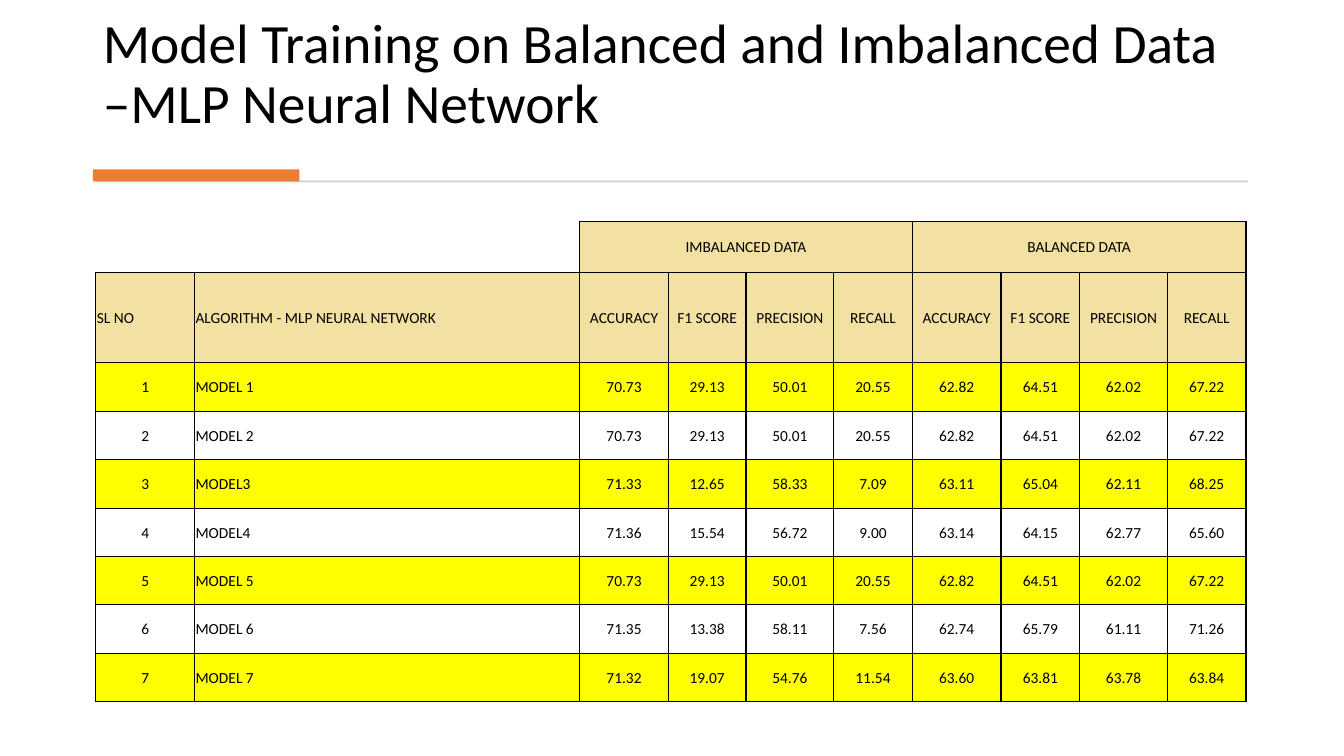
from lxml.etree import SubElement
from pptx import Presentation
from pptx.dml.color import RGBColor
from pptx.enum.shapes import MSO_SHAPE
from pptx.enum.text import MSO_ANCHOR, MSO_AUTO_SIZE, PP_ALIGN
from pptx.oxml.ns import qn
from pptx.util import Inches, Pt

HEADS = ["ACCURACY", "F1 SCORE", "PRECISION", "RECALL"]
MODELS = [
    ("MODEL 1", "70.73 29.13 50.01 20.55 62.82 64.51 62.02 67.22"),
    ("MODEL 2", "70.73 29.13 50.01 20.55 62.82 64.51 62.02 67.22"),
    ("MODEL3", "71.33 12.65 58.33 7.09 63.11 65.04 62.11 68.25"),
    ("MODEL4", "71.36 15.54 56.72 9.00 63.14 64.15 62.77 65.60"),
    ("MODEL 5", "70.73 29.13 50.01 20.55 62.82 64.51 62.02 67.22"),
    ("MODEL 6", "71.35 13.38 58.11 7.56 62.74 65.79 61.11 71.26"),
    ("MODEL 7", "71.32 19.07 54.76 11.54 63.60 63.81 63.78 63.84"),
]
COLS = [0.98, 3.82, 0.88, 0.77, 0.87, 0.78, 0.88, 0.78, 0.87, 0.78]
ROWS = [0.5, 0.9] + [0.48] * len(MODELS)


def color(code):
    return RGBColor.from_string(code)


def write(frame, text, size=11, align=PP_ALIGN.LEFT, space=1.0, font="Calibri", ink="000000"):
    frame.text = text
    para = frame.paragraphs[0]
    para.alignment = align
    para.line_spacing = space
    face = para.runs[0].font
    face.size, face.name, face.bold = Pt(size), font, False
    face.color.rgb = color(ink)


class Deck:
    ink = "000000"
    tan = "F2E1A2"
    yellow = "FFFF00"
    orange = "ED7D31"
    gray = "D5D5D5"

    def __init__(self):
        self.file = Presentation()
        self.file.slide_width = Inches(13.33)
        self.file.slide_height = Inches(7.5)
        self.slide = self.file.slides.add_slide(self.file.slide_layouts[5])

    def title(self, text, x, y, w, h):
        box = self.slide.shapes.title
        box.left, box.top, box.width, box.height = map(Inches, (x, y, w, h))
        frame = box.text_frame
        frame.word_wrap = True
        frame.auto_size = MSO_AUTO_SIZE.NONE
        frame.vertical_anchor = MSO_ANCHOR.BOTTOM
        write(frame, text, size=39.6, space=0.9)

    def bar(self, fill, x, y, w, h):
        shape = self.slide.shapes.add_shape(MSO_SHAPE.RECTANGLE, *map(Inches, (x, y, w, h)))
        shape.shadow.inherit = False
        shape.fill.solid()
        shape.fill.fore_color.rgb = color(fill)
        shape.line.fill.background()

    def grid(self, x, y, cols, rows):
        box = self.slide.shapes.add_table(
            len(rows), len(cols), Inches(x), Inches(y), Inches(sum(cols)), Inches(sum(rows)))
        table = box.table
        table.first_row = table.horz_banding = False
        for col, width in zip(table.columns, cols):
            col.width = Inches(width)
        for row, height in zip(table.rows, rows):
            row.height = Inches(height)
        return table

    def cell(self, cell, text="", fill=None, align=PP_ALIGN.CENTER, **edges):
        cell.vertical_anchor = MSO_ANCHOR.MIDDLE
        cell.margin_left = cell.margin_right = cell.margin_top = Inches(0.01)
        cell.margin_bottom = 0
        if text:
            write(cell.text_frame, text, align=align)
        props = cell._tc.get_or_add_tcPr()
        for side in "LRTB":
            width = edges.get(side, 0)
            line = SubElement(props, qn("a:ln" + side), w=str(Pt(width)))
            if width:
                paint = SubElement(line, qn("a:solidFill"))
                SubElement(paint, qn("a:srgbClr"), val=self.ink)
            else:
                SubElement(line, qn("a:noFill"))
        if fill:
            cell.fill.solid()
            cell.fill.fore_color.rgb = color(fill)
        else:
            cell.fill.background()

    def scores(self, x, y):
        table = self.grid(x, y, COLS, ROWS)
        frame = dict(L=1, R=1, T=1, B=1)
        self.cell(table.cell(0, 0), B=1)
        self.cell(table.cell(0, 1), R=1, B=1)
        for start, name in ((2, "IMBALANCED DATA"), (6, "BALANCED DATA")):
            table.cell(0, start).merge(table.cell(0, start + 3))
            for col in range(start, start + 4):
                self.cell(table.cell(0, col), name if col == start else "", self.tan, **frame)
        lines = [["SL NO", "ALGORITHM - MLP NEURAL NETWORK"] + HEADS * 2]
        lines += [[str(num), name] + data.split() for num, (name, data) in enumerate(MODELS, 1)]
        for row, line in enumerate(lines, 1):
            head = row == 1
            fill = self.tan if head else self.yellow if row % 2 == 0 else None
            edges = frame if head else dict(L=1, R=1, T=1 if row == 2 else 0.5, B=0.5)
            for col, text in enumerate(line):
                left = col == 1 or (head and col == 0)
                align = PP_ALIGN.LEFT if left else PP_ALIGN.CENTER
                self.cell(table.cell(row, col), text, fill, align, **edges)


def main():
    deck = Deck()
    deck.title("Model Training on Balanced and Imbalanced Data –MLP Neural Network",
               0.92, 0.28, 11.49, 1.11)
    deck.bar(deck.gray, 0.95, 1.79, 11.43, 0.02)
    deck.bar(deck.orange, 0.92, 1.68, 2.05, 0.12)
    deck.scores(0.95, 2.2)
    deck.file.save("out.pptx")


if __name__ == "__main__":
    main()
